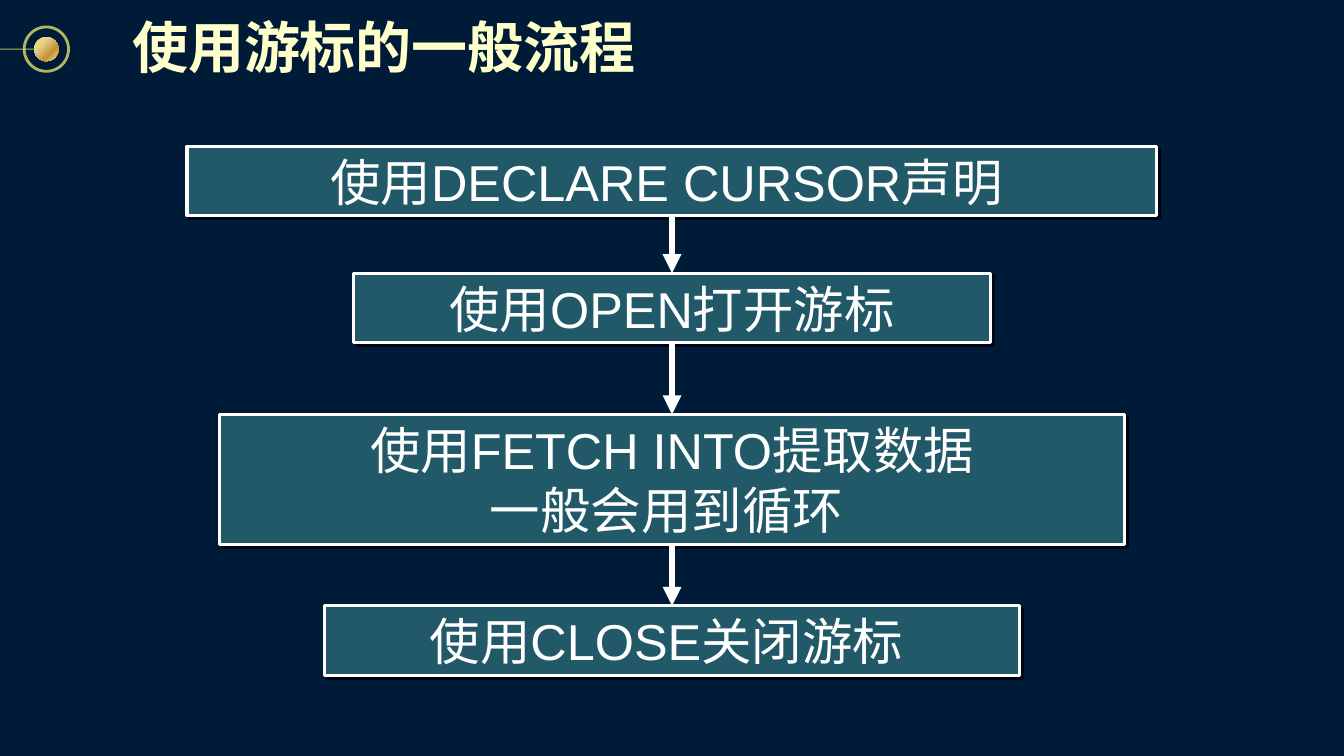
from dataclasses import dataclass
from lxml.etree import SubElement
from pptx import Presentation
from pptx.dml.color import RGBColor
from pptx.enum.shapes import MSO_CONNECTOR, MSO_SHAPE
from pptx.enum.text import MSO_ANCHOR, MSO_AUTO_SIZE, PP_ALIGN
from pptx.oxml.ns import qn
from pptx.util import Inches, Pt


@dataclass(frozen=True)
class Theme:
    back: str = "001B37"
    box: str = "215968"
    ink: str = "FFFFFF"
    title: str = "FFFFCC"
    shade: str = "000514"
    ring: str = "FCF873"
    gold: tuple = ((0, "FCD860"), (31, "E6D38F"), (68, "C69135"), (100, "F1DF97"))
    title_size: int = 40
    body_size: int = 36
    latin: str = "Arial"
    cjk: str = "Noto Sans CJK SC"


def rgb(value):
    return RGBColor.from_string(value)


def add_shadow(effects, color):
    shadow = SubElement(effects, qn("a:outerShdw"), dist=str(Pt(2.8)), dir="2700000", algn="ctr", rotWithShape="0")
    SubElement(shadow, qn("a:srgbClr"), val=color)


def write(tf, text, *, size, color, latin, cjk, bold=False, align=PP_ALIGN.LEFT,
          inset=(0.08, 0.04), wrap=True, shade=None):
    tf.margin_left = tf.margin_right = Inches(inset[0])
    tf.margin_top = tf.margin_bottom = Inches(inset[1])
    tf.vertical_anchor = MSO_ANCHOR.MIDDLE
    tf.auto_size = MSO_AUTO_SIZE.NONE
    tf.word_wrap = wrap
    for i, line in enumerate(text.split("\n")):
        p = tf.add_paragraph() if i else tf.paragraphs[0]
        p.alignment = align
        r = p.add_run()
        r.text = line
        r.font.size, r.font.bold, r.font.name = Pt(size), bold, latin
        r.font.color.rgb = rgb(color)
        r_pr = r.font._element
        if shade:
            effects = SubElement(r_pr, qn("a:effectLst"))
            add_shadow(effects, shade)
            r_pr.find(qn("a:latin")).addprevious(effects)
        SubElement(r_pr, qn("a:ea"), typeface=cjk)


class FlowSlide:
    """Draws a themed flow slide in percentages of the slide size."""

    def __init__(self, prs, theme):
        self.prs, self.theme = prs, theme
        self.s = prs.slides.add_slide(prs.slide_layouts[5])
        self.s.background.fill.solid()
        self.s.background.fill.fore_color.rgb = rgb(theme.back)

    def x(self, share):
        return round(self.prs.slide_width * share / 100)

    def y(self, share):
        return round(self.prs.slide_height * share / 100)

    def title(self, text, left, top, width, height):
        t, sp = self.theme, self.s.shapes.title
        sp.left, sp.top, sp.width, sp.height = self.x(left), self.y(top), self.x(width), self.y(height)
        write(sp.text_frame, text, size=t.title_size, color=t.title, latin=t.cjk, cjk=t.cjk,
              bold=True, inset=(0.08, 0.08), wrap=False, shade=t.shade)

    def box(self, text, top, width, height):
        t = self.theme
        sp = self.s.shapes.add_shape(MSO_SHAPE.RECTANGLE, self.x(50 - width / 2), self.y(top),
                                     self.x(width), self.y(height))
        sp.shadow.inherit = False
        add_shadow(sp.element.spPr.find(qn("a:effectLst")), t.shade)
        sp.fill.solid()
        sp.fill.fore_color.rgb = rgb(t.box)
        sp.line.color.rgb, sp.line.width = rgb(t.ink), Pt(2.25)
        write(sp.text_frame, text, size=t.body_size, color=t.ink, latin=t.latin, cjk=t.cjk,
              align=PP_ALIGN.CENTER)
        return sp

    def line(self, x1, y1, x2, y2, color, width):
        c = self.s.shapes.add_connector(MSO_CONNECTOR.STRAIGHT, self.x(x1), self.y(y1), self.x(x2), self.y(y2))
        c.line.color.rgb, c.line.width = rgb(color), Pt(width)
        SubElement(c.element.spPr, qn("a:effectLst"))
        return c

    def arrow(self, start, end):
        c = self.line(50, 0, 50, 0, self.theme.ink, 4.5)
        c.begin_connect(start, 2)
        c.end_connect(end, 0)
        SubElement(c.line._get_or_add_ln(), qn("a:tailEnd"), type="triangle")

    def fade(self, sp, percent):
        color = sp.element.spPr.find(qn("a:ln")).find(".//" + qn("a:srgbClr"))
        SubElement(color, qn("a:alpha"), val=str(percent * 1000))

    def disc(self, cx, cy, size):
        d = self.x(size)
        sp = self.s.shapes.add_shape(MSO_SHAPE.OVAL, self.x(cx) - d // 2, self.y(cy) - d // 2, d, d)
        sp.shadow.inherit = False
        return sp

    def ornament(self, cx, cy, ring_size, dot_size):
        t = self.theme
        ring = self.disc(cx, cy, ring_size)
        ring.fill.background()
        ring.line.color.rgb, ring.line.width = rgb(t.ring), Pt(2)
        thread = self.line(0, cy, cx - dot_size / 2, cy, t.ring, 0.75)
        for sp in (ring, thread):
            self.fade(sp, 70)
        dot = self.disc(cx, cy, dot_size)
        dot.line.fill.background()
        dot.fill.gradient()
        dot.fill.gradient_angle = 315
        stops = dot.element.spPr.find(".//" + qn("a:gsLst"))
        for stop in list(stops):
            stops.remove(stop)
        for pos, color in t.gold:
            stop = SubElement(stops, qn("a:gs"), pos=str(pos * 1000))
            SubElement(stop, qn("a:srgbClr"), val=color)


def main():
    prs = Presentation()
    prs.slide_width, prs.slide_height = Inches(13.33), Inches(7.5)
    flow = FlowSlide(prs, Theme())
    flow.ornament(3.45, 6.5, 3.3, 1.8)
    flow.title("使用游标的一般流程", 9.23, 0.53, 39.08, 11.07)
    steps = [
        ("使用DECLARE CURSOR声明 ", 19.33, 72.17, 9.2),
        ("使用OPEN打开游标", 36.13, 47.41, 9.2),
        ("使用FETCH INTO提取数据\n一般会用到循环 ", 54.8, 67.29, 17.2),
        ("使用CLOSE关闭游标 ", 80.13, 51.69, 9.2),
    ]
    boxes = [flow.box(*step) for step in steps]
    for start, end in zip(boxes, boxes[1:]):
        flow.arrow(start, end)
    prs.save("out.pptx")


if __name__ == "__main__":
    main()
